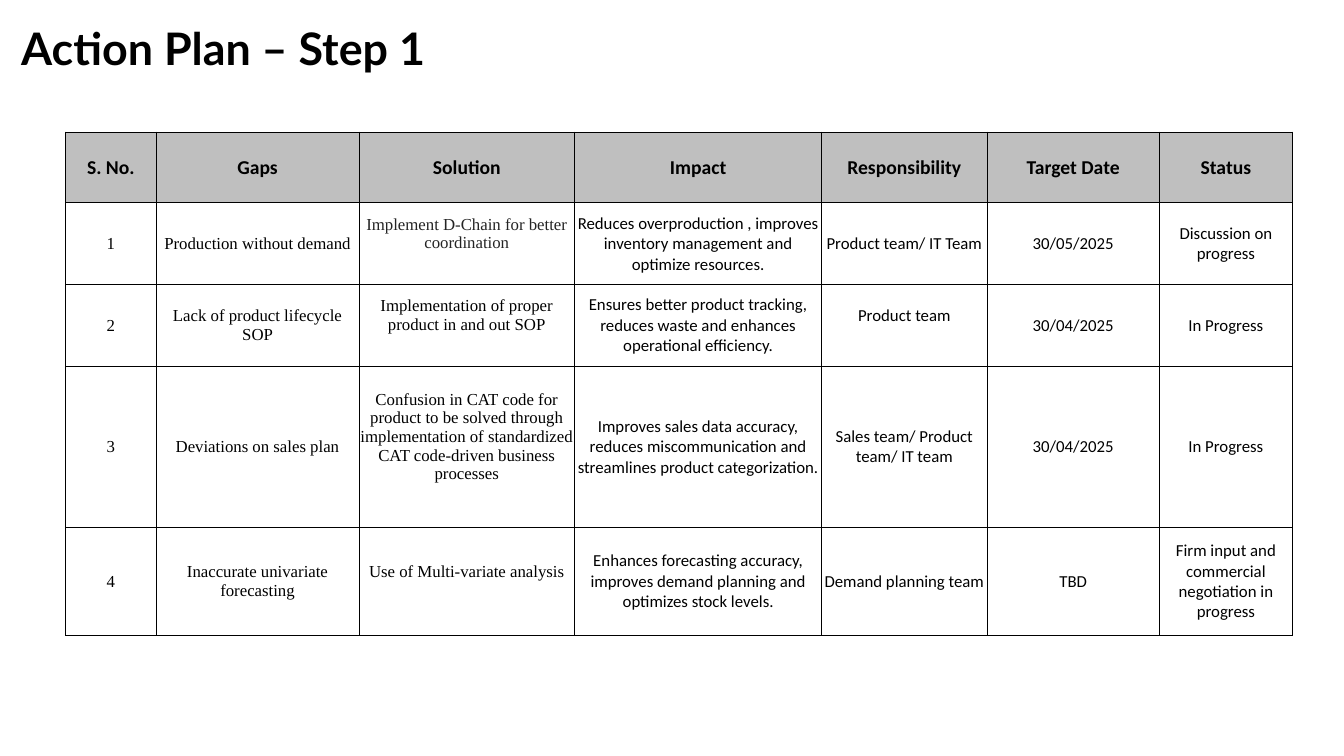
from dataclasses import dataclass

from lxml.etree import SubElement
from pptx import Presentation
from pptx.dml.color import RGBColor as Color
from pptx.enum.text import MSO_ANCHOR as Anchor, PP_ALIGN as Align
from pptx.oxml.ns import qn
from pptx.util import Inches, Pt


@dataclass(frozen=True)
class Theme:
    title_font: str = "Lato"
    body_font: str = "Calibri"
    serif_font: str = "Times New Roman"
    title_size: int = 32
    header_size: int = 14
    body_size: int = 12
    border_width: float = 0.5
    ink: str = "000000"
    soft_ink: str = "242424"
    header_fill: str = "BFBFBF"


HEADERS = ["S. No.", "Gaps", "Solution", "Impact", "Responsibility", "Target Date", "Status"]
ACTIONS = [
    ["1", "Production without demand",
     "Implement D-Chain for better coordination",
     "Reduces overproduction , improves inventory management and optimize resources.",
     "Product team/ IT Team", "30/05/2025", "Discussion on progress"],
    ["2", "Lack of product lifecycle SOP",
     "Implementation of proper product in and out SOP",
     "Ensures better product tracking, reduces waste and enhances operational efficiency.",
     "Product team", "30/04/2025", "In Progress"],
    ["3", "Deviations on sales plan",
     "Confusion in CAT code for product to be solved through implementation "
     "of standardized CAT code-driven business processes",
     "Improves sales data accuracy, reduces miscommunication and "
     "streamlines product categorization.",
     "Sales team/ Product team/ IT team", "30/04/2025", "In Progress"],
    ["4", "Inaccurate univariate forecasting",
     "Use of Multi-variate analysis",
     "Enhances forecasting accuracy, improves demand planning and optimizes stock levels.",
     "Demand planning team", "TBD",
     "Firm input and commercial negotiation in progress"],
]
COLUMN_WIDTHS = [0.9, 2.01, 2.14, 2.45, 1.64, 1.71, 1.32]
ROW_HEIGHTS = [0.7, 0.81, 0.81, 1.6, 1.07]
SERIF_COLUMNS = 3
SOLUTION_COLUMN = 2
RAISED_CELLS = {(row, SOLUTION_COLUMN) for row in range(1, 5)} | {(2, 4)}
LIFT = 0.2


class SlideBuilder:
    def __init__(self, deck, theme):
        self.theme = theme
        self.page = deck.slides.add_slide(deck.slide_layouts[5])

    def add_span(self, para, text, font, size, color, bold=False):
        span = para.add_run()
        span.text = text
        span.font.name = font
        span.font.size = Pt(size)
        span.font.bold = bold
        span.font.color.rgb = Color.from_string(color)

    def title(self, text, left, top, width, height):
        box = self.page.shapes.title
        box.left, box.top = Inches(left), Inches(top)
        box.width, box.height = Inches(width), Inches(height)
        frame = box.text_frame
        frame.word_wrap = True
        frame.vertical_anchor = Anchor.TOP
        para = frame.paragraphs[0]
        para.alignment = Align.LEFT
        para.line_spacing = 0.9
        self.add_span(para, text, self.theme.title_font, self.theme.title_size,
                      self.theme.ink, bold=True)

    def border(self, cell):
        properties = cell._tc.get_or_add_tcPr()
        for side in ("a:lnL", "a:lnR", "a:lnT", "a:lnB"):
            line = SubElement(properties, qn(side), w=str(Pt(self.theme.border_width)))
            fill = SubElement(line, qn("a:solidFill"))
            SubElement(fill, qn("a:srgbClr"), val=self.theme.ink)

    def cell(self, cell, text, font, size, color, header, lift):
        cell.margin_left = cell.margin_right = cell.margin_top = Inches(0.01)
        cell.margin_bottom = Inches(lift)
        cell.vertical_anchor = Anchor.MIDDLE
        self.border(cell)
        if header:
            cell.fill.solid()
            cell.fill.fore_color.rgb = Color.from_string(self.theme.header_fill)
        else:
            cell.fill.background()
        para = cell.text_frame.paragraphs[0]
        para.alignment = Align.CENTER
        self.add_span(para, text, font, size, color, bold=header)

    def table(self, rows, widths, heights, left, top):
        theme = self.theme
        grid = self.page.shapes.add_table(
            len(rows), len(widths), Inches(left), Inches(top),
            Inches(sum(widths)), Inches(sum(heights))).table
        for column, width in zip(grid.columns, widths):
            column.width = Inches(width)
        for row, height in zip(grid.rows, heights):
            row.height = Inches(height)
        for r, texts in enumerate(rows):
            header = r == 0
            size = theme.header_size if header else theme.body_size
            for c, text in enumerate(texts):
                serif = not header and c < SERIF_COLUMNS
                font = theme.serif_font if serif else theme.body_font
                color = theme.soft_ink if (r, c) == (1, SOLUTION_COLUMN) else theme.ink
                lift = LIFT if (r, c) in RAISED_CELLS else 0
                self.cell(grid.cell(r, c), text, font, size, color, header, lift)


def main():
    deck = Presentation()
    deck.slide_width, deck.slide_height = Inches(13.33), Inches(7.5)
    builder = SlideBuilder(deck, Theme())

    # Title
    builder.title("Action Plan – Step 1", 0.11, 0.22, 11.5, 0.75)

    # Action table
    builder.table([HEADERS] + ACTIONS, COLUMN_WIDTHS, ROW_HEIGHTS, 0.65, 1.31)

    deck.save("out.pptx")


if __name__ == "__main__":
    main()
